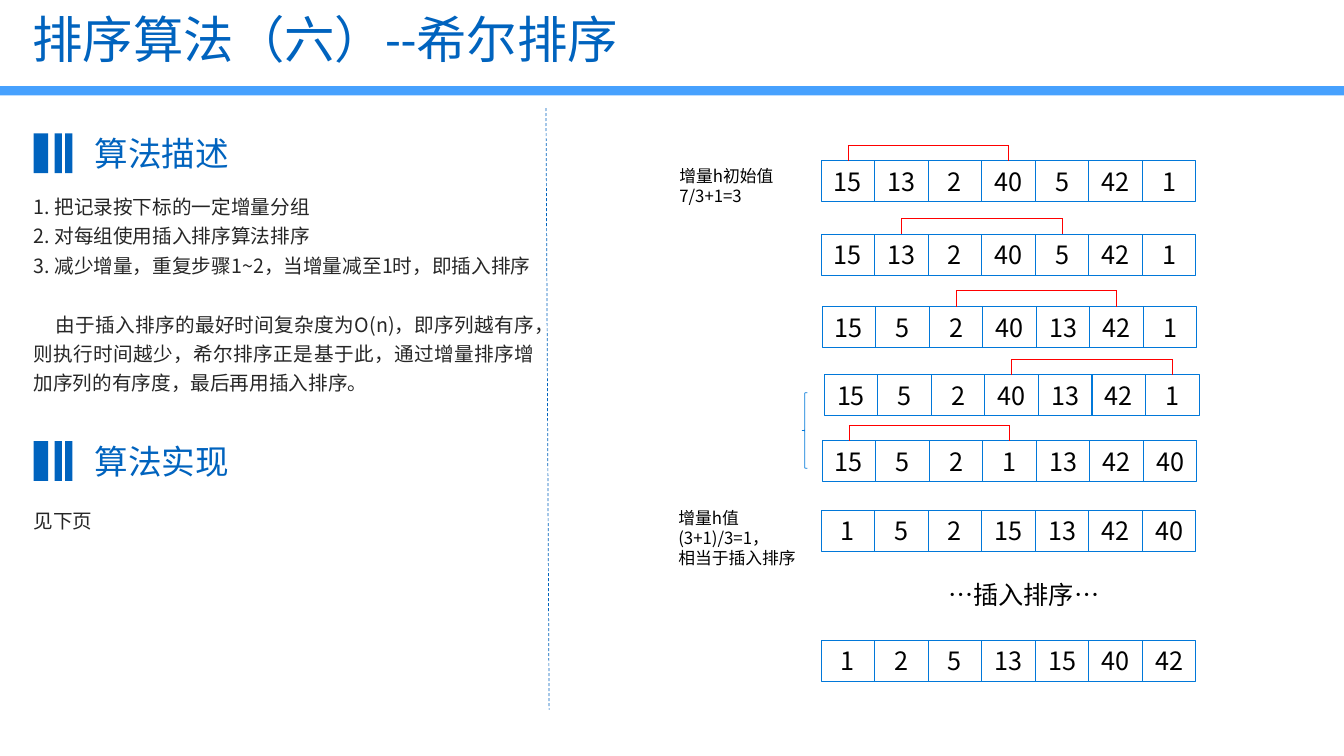
"""Builds the slide explaining Shell sort with its step-by-step array diagram."""
from dataclasses import dataclass
from typing import Optional

import pptx
import pptx.dml.color
import pptx.enum.dml
import pptx.enum.shapes
import pptx.enum.text
import pptx.oxml.ns
import pptx.util
from lxml import etree

PX = 9525
FONT = "Noto Sans CJK SC"
BLUE, SKY, CELL_BLUE, RED = "0063BE", "47A1FE", "0178D9", "FF0000"
BLACK, DARK = "000000", "262626"
CELL_W, CELL_H, GAP, BRACKET_H = 51, 39, 3, 15
SHAPE = pptx.enum.shapes.MSO_SHAPE
ALIGN = pptx.enum.text.PP_ALIGN
ANCHOR = pptx.enum.text.MSO_ANCHOR


@dataclass
class Step:
    x: int
    y: int
    values: list[int]
    compared: Optional[int] = None


@dataclass
class Note:
    x: int
    y: int
    w: int
    h: int
    lines: list[str]
    size: int = 12


STEPS = [
    Step(782, 153, [15, 13, 2, 40, 5, 42, 1], 0),
    Step(782, 223, [15, 13, 2, 40, 5, 42, 1], 1),
    Step(783, 292, [15, 5, 2, 40, 13, 42, 1], 2),
    Step(785, 357, [15, 5, 2, 40, 13, 42, 1], 3),
    Step(783, 420, [15, 5, 2, 1, 13, 42, 40], 0),
    Step(782, 486, [1, 5, 2, 15, 13, 42, 40]),
    Step(782, 610, [1, 2, 5, 13, 15, 40, 42]),
]
NOTES = [
    Note(637, 153, 116, 48, ["增量h初始值7/3+1=3"]),
    Note(636, 479, 139, 68, ["增量h值", "(3+1)/3=1，", "相当于插入排序"]),
    Note(893, 547, 170, 38, ["…插入排序…"], 18),
]
HEADINGS = [(127, "算法描述"), (420, "算法实现")]
RULES = ["1. 把记录按下标的一定增量分组", "2. 对每组使用插入排序算法排序",
         "3. 减少增量，重复步骤1~2，当增量减至1时，即插入排序"]
REASON = ("由于插入排序的最好时间复杂度为O(n)，即序列越有序，则执行时间越少，"
          "希尔排序正是基于此，通过增量排序增加序列的有序度，最后再用插入排序。")


def px(n: float) -> pptx.util.Emu:
    return pptx.util.Emu(round(n * PX))


def color(value: str) -> pptx.dml.color.RGBColor:
    return pptx.dml.color.RGBColor.from_string(value)


def write(tf, lines, *, size, fill=BLACK, font=FONT, align=ALIGN.LEFT, spacing=None,
          inset=(0, 0), anchor=ANCHOR.TOP):
    tf.word_wrap = True
    tf.vertical_anchor = anchor
    tf.margin_left = tf.margin_right = px(inset[0])
    tf.margin_top = tf.margin_bottom = px(inset[1])
    for i, line in enumerate(lines):
        p = tf.paragraphs[0] if i == 0 else tf.add_paragraph()
        p.alignment = align
        p.line_spacing = spacing or pptx.util.Pt(round(size * 1.19, 1))
        r = p.add_run()
        r.text = line
        r.font.size = pptx.util.Pt(size)
        r.font.name = font
        r.font.color.rgb = color(fill)
        ea = etree.SubElement(r.font._element, pptx.oxml.ns.qn("a:ea"))
        ea.set("typeface", FONT)


def add_text(slide, x: int, y: int, w: int, h: int, lines: list[str], **fmt):
    sp = slide.shapes.add_textbox(px(x), px(y), px(w), px(h))
    write(sp.text_frame, lines, **fmt)
    return sp


def add_box(slide, x: int, y: int, w: int, h: int, *, kind=SHAPE.RECTANGLE,
            fill: Optional[str] = None, line: Optional[str] = None, width: float = 0.75):
    sp = slide.shapes.add_shape(kind, px(x), px(y), px(w), px(h))
    sp.shadow.inherit = False
    if fill:
        sp.fill.solid()
        sp.fill.fore_color.rgb = color(fill)
    else:
        sp.fill.background()
    if line:
        sp.line.color.rgb = color(line)
        sp.line.width = pptx.util.Pt(width)
    else:
        sp.line.fill.background()
    return sp


def add_line(slide, x1: float, y1: float, x2: float, y2: float, stroke: str):
    sp = slide.shapes.add_connector(
        pptx.enum.shapes.MSO_CONNECTOR.STRAIGHT, px(x1), px(y1), px(x2), px(y2))
    sp.line.color.rgb = color(stroke)
    sp.line.width = pptx.util.Pt(0.5)
    etree.SubElement(sp._element.spPr, pptx.oxml.ns.qn("a:effectLst"))
    return sp


def add_step(slide, step: Step) -> None:
    cells = []
    for i, value in enumerate(step.values):
        sp = add_box(slide, step.x + i * CELL_W, step.y, CELL_W, CELL_H, line=CELL_BLUE)
        write(sp.text_frame, [str(value)], size=18, align=ALIGN.CENTER, anchor=ANCHOR.MIDDLE)
        cells.append(sp)
    if step.compared is None:
        return
    top = step.y - BRACKET_H
    ends = [step.compared, step.compared + GAP]
    left, right = [step.x + (i + 0.5) * CELL_W for i in ends]
    for i, x in zip(ends, (left, right)):
        add_line(slide, x, step.y, x, top, RED).begin_connect(cells[i], 0)
    add_line(slide, left, top, right, top, RED)


def add_heading(slide, y: int, text: str) -> None:
    for x, w in ((32, 14), (52, 7), (62, 7)):
        add_box(slide, x, y, w, 38, fill=BLUE)
    add_text(slide, 90, y, 155, 38, [text], size=24, fill=BLUE, align=ALIGN.JUSTIFY)


def main() -> None:
    prs = pptx.Presentation()
    prs.slide_width, prs.slide_height = px(1280), px(720)
    slide = prs.slides.add_slide(prs.slide_layouts[5])

    add_box(slide, 0, 82, 1280, 9, fill=SKY)
    title = slide.shapes.title
    title.left, title.top, title.width, title.height = px(21), px(10), px(1169), px(61)
    write(title.text_frame, ["排序算法（六）--希尔排序"], size=36, fill=BLUE, font="Calibri",
          spacing=0.9, inset=(10, 5), anchor=ANCHOR.MIDDLE)

    for y, text in HEADINGS:
        add_heading(slide, y, text)
    body = {"size": 14, "fill": DARK, "align": ALIGN.JUSTIFY, "spacing": pptx.util.Pt(21)}
    sp = add_text(slide, 32, 180, 477, 198, RULES + [REASON], **body)
    reason = sp.text_frame.paragraphs[-1]
    reason.space_before = pptx.util.Pt(21)
    reason._p.get_or_add_pPr().set("indent", str(px(21)))
    add_text(slide, 32, 479, 416, 28, ["见下页"], **body)
    divider = add_line(slide, 520, 103, 523, 676, BLUE)
    divider.line.dash_style = pptx.enum.dml.MSO_LINE.DASH

    for step in STEPS:
        add_step(slide, step)
    for note in NOTES:
        add_text(slide, note.x, note.y, note.w, note.h, note.lines,
                 size=note.size, inset=(10, 5))
    add_box(slide, 764, 374, 5, 72, kind=SHAPE.LEFT_BRACE, line=CELL_BLUE, width=0.5)
    prs.save("out.pptx")


if __name__ == "__main__":
    main()
